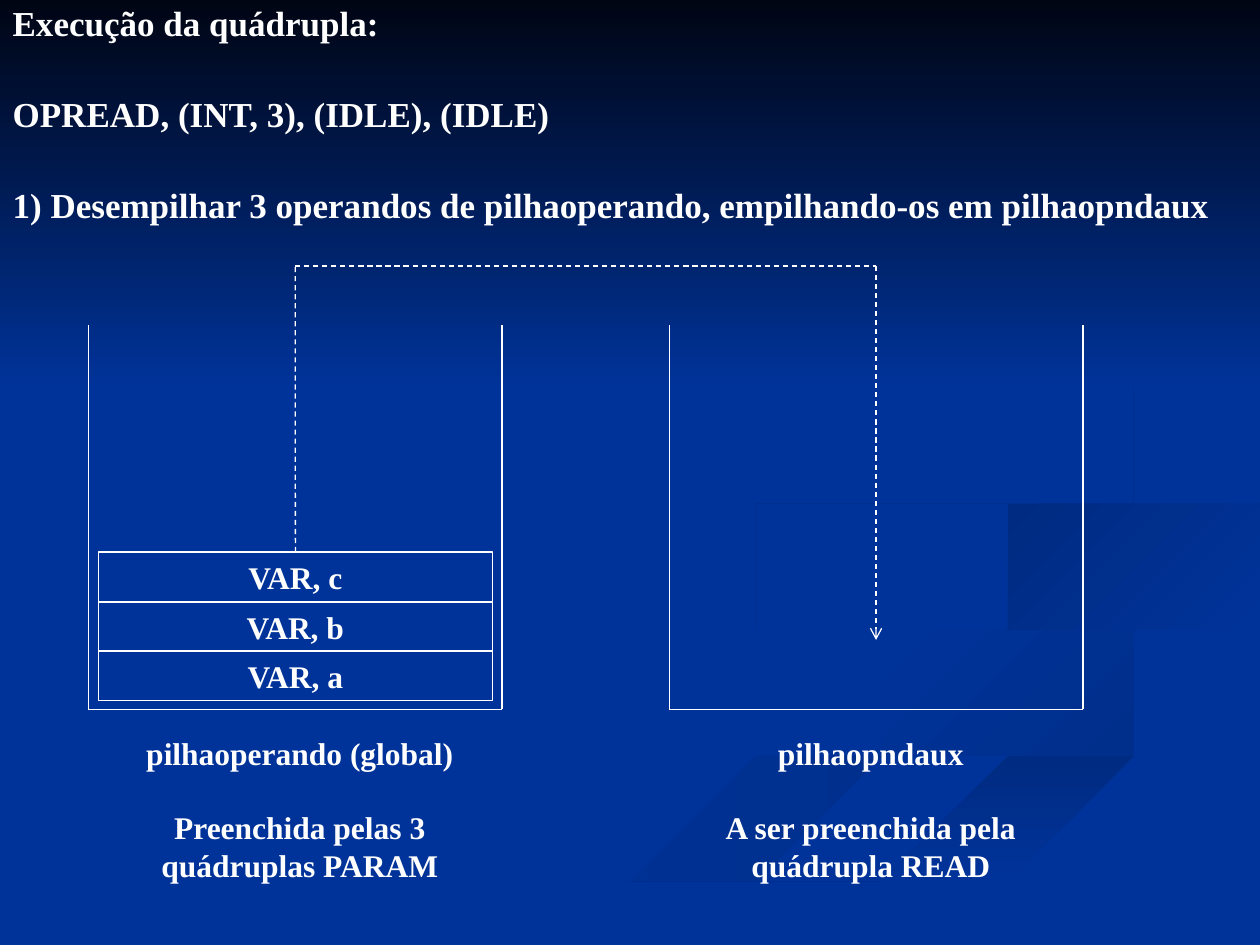
from lxml.etree import SubElement
from pptx import Presentation
from pptx.dml.color import RGBColor
from pptx.enum.dml import MSO_LINE
from pptx.enum.shapes import MSO_CONNECTOR, MSO_SHAPE
from pptx.enum.text import MSO_ANCHOR, MSO_AUTO_SIZE, PP_ALIGN
from pptx.oxml.ns import qn
from pptx.util import Cm, Pt

WHITE = RGBColor(0xFF, 0xFF, 0xFF)
BLUE = RGBColor(0x00, 0x33, 0x99)
NIGHT = RGBColor(0x00, 0x05, 0x14)
SHADE = RGBColor(0x00, 0x2B, 0x82)
SOFT_SHADE = RGBColor(0x00, 0x2E, 0x8B)
FONT = "Times New Roman"
UNIT = Cm(2.54)
STEPS = 6

RIBBONS = [
    ((BLUE, SOFT_SHADE), 0, [
        [(5.75, 4.6), (5.8, 4.83), (6.8, 5.19), (7.76, 5.53), (7.8, 5.79), (6.5, 6.2), (4.6, 6.74), (3, 7.49)],
        [(3.6, 7.49), (5, 6.87), (7.4, 6.18), (8, 5.81), (7.67, 5.47), (6.4, 5.07), (5.75, 4.6)]]),
    ((BLUE, SOFT_SHADE), 45, [
        [(7.24, 4.64), (7.55, 5.05), (8.54, 5.39), (9.18, 5.81), (8.94, 6.05)],
        [(8.94, 6.05), (9.43, 5.73), (9.05, 5.4), (8.1, 5.15), (7.24, 4.64)]]),
    ((SHADE, BLUE), 90, [
        [(5.03, 7.49), (6.3, 6.93), (7.97, 6.38), (9.98, 5.81)],
        [(9.98, 6.09), (7.85, 6.61), (6.3, 7.19), (5.7, 7.49)]]),
    ((SHADE, BLUE), 45, [
        [(7.81, 4.6), (7.91, 4.78), (8.26, 4.96)],
        [(8.05, 4.74), (8.43, 4.48), (9.98, 4.2)],
        [(9.98, 4.02), (8.65, 4.24), (7.81, 4.6)]]),
    ((SHADE, BLUE), 45, [
        [(7.62, 2.33), (8.46, 2.79), (8.89, 3.35), (8.42, 3.78), (6.5, 4.2), (5.77, 4.62), (6.22, 5)],
        [(6.22, 5), (5.93, 4.7), (6.5, 4.36), (8.07, 4.07), (8.94, 3.44), (8.43, 2.75), (7.62, 2.33)]]),
]


def smooth(edge):
    """Return points on a Catmull-Rom curve through the given edge."""
    knots = [edge[0], *edge, edge[-1]]
    points = []
    for a, b, c, d in zip(knots, knots[1:], knots[2:], knots[3:]):
        for t in (i / STEPS for i in range(STEPS)):
            points.append(tuple(
                q + t * (r - p + t * (2 * p - 5 * q + 4 * r - s + t * (3 * (q - r) + s - p))) / 2
                for p, q, r, s in zip(a, b, c, d)))
    return points + [edge[-1]]


def shade(sp, colors, angle):
    """Give a borderless shape a two-colour gradient."""
    sp.shadow.inherit = False
    sp.line.fill.background()
    sp.fill.gradient()
    sp.fill.gradient_angle = (360 - angle) % 360
    for stop, color in zip(sp.fill.gradient_stops, colors):
        stop.color.rgb = color


def add_ribbon(s, colors, angle, edges):
    """Draw one backdrop ribbon bounded by smooth edges."""
    points = [point for edge in edges for point in smooth(edge)]
    builder = s.shapes.build_freeform(*points[0], scale=UNIT)
    builder.add_line_segments(points[1:])
    shade(builder.convert_to_shape(), colors, angle)


def add_backdrop(s):
    """Colour the background, its ribbons and the dark band at the top."""
    s.background.fill.solid()
    s.background.fill.fore_color.rgb = BLUE
    for ribbon in RIBBONS:
        add_ribbon(s, *ribbon)
    band = s.shapes.add_shape(MSO_SHAPE.RECTANGLE, Cm(0), Cm(0), Cm(25.4), Cm(7.82))
    shade(band, (NIGHT, BLUE), 90)


def write(tf, lines, size=18, align=PP_ALIGN.CENTER, gap=20.7, spacing=None):
    """Fill a text frame with bold white paragraphs set apart by a gap."""
    tf.word_wrap = True
    tf.auto_size = MSO_AUTO_SIZE.NONE
    for i, line in enumerate(lines):
        p = tf.paragraphs[0] if i == 0 else tf.add_paragraph()
        p.alignment = align
        p.space_before = Pt(gap if i else 0)
        p.line_spacing = spacing
        r = p.add_run()
        r.text = line
        r.font.name, r.font.size, r.font.bold = FONT, Pt(size), True
        r.font.color.rgb = WHITE


def add_statement(s, lines):
    """Spread the body placeholder over the slide and write the steps in it."""
    sp = s.placeholders[1]
    sp.left, sp.top, sp.width, sp.height = Cm(0), Cm(0), Cm(25.4), Cm(19.05)
    s.shapes._spTree.append(sp._element)
    write(sp.text_frame, lines, size=20, align=PP_ALIGN.LEFT, gap=31, spacing=Pt(21))
    for p in sp.text_frame.paragraphs:
        pPr = p._p.get_or_add_pPr()
        pPr.set("marL", str(Cm(0.95)))
        pPr.set("indent", str(-Cm(0.95)))
        SubElement(pPr, qn("a:buNone"))


def add_line(s, start, end, dashed=False, arrow=False):
    """Draw a thin white line between two points given in centimetres."""
    c = s.shapes.add_connector(MSO_CONNECTOR.STRAIGHT, *map(Cm, start + end))
    c.line.color.rgb = WHITE
    c.line.width = Pt(0.75)
    if dashed:
        c.line.dash_style = MSO_LINE.DASH
    if arrow:
        SubElement(c.line._get_or_add_ln(), qn("a:tailEnd"), type="arrow")
    SubElement(c._element.spPr, qn("a:effectLst"))
    return c


def add_stack(s, left, label_left, lines):
    """Draw an open-topped stack with its caption below."""
    right, top, bottom = left + 8.34, 6.55, 14.3
    corners = [(left, top), (left, bottom), (right, bottom), (right, top)]
    for start, end in zip(corners, corners[1:]):
        add_line(s, start, end)
    sp = s.shapes.add_textbox(Cm(label_left), Cm(14.68), Cm(8.13), Cm(3.3))
    write(sp.text_frame, lines)


def add_operand(s, top, text):
    """Add one outlined operand cell."""
    sp = s.shapes.add_shape(MSO_SHAPE.RECTANGLE, Cm(1.98), Cm(top), Cm(7.95), Cm(1.02))
    sp.shadow.inherit = False
    sp.fill.background()
    sp.line.color.rgb = WHITE
    sp.line.width = Pt(0.75)
    sp.text_frame.vertical_anchor = MSO_ANCHOR.MIDDLE
    write(sp.text_frame, [text])
    return sp


def main():
    """Build the slide and save it."""
    prs = Presentation()
    prs.slide_width, prs.slide_height = Cm(25.4), Cm(19.05)
    s = prs.slides.add_slide(prs.slide_layouts[1])
    title = s.shapes.title._element
    title.getparent().remove(title)

    add_backdrop(s)
    add_statement(s, [
        "Execução da quádrupla:",
        "OPREAD, (INT, 3), (IDLE), (IDLE)",
        "1) Desempilhar 3 operandos de pilhaoperando, empilhando-os em pilhaopndaux"])
    add_stack(s, 1.78, 1.98, ["pilhaoperando (global)", "Preenchida pelas 3 quádruplas PARAM"])
    add_stack(s, 13.49, 13.49, ["pilhaopndaux", "A ser preenchida pela quádrupla READ"])

    for i, name in enumerate("abc"):
        top_cell = add_operand(s, 13.11 - 0.99 * i, f"VAR, {name}")
    start, end = (5.95, 5.36), (17.66, 5.36)
    rise = add_line(s, (5.95, 11.13), start, dashed=True)
    rise.begin_connect(top_cell, 0)
    add_line(s, start, end, dashed=True)
    add_line(s, end, (17.66, 12.9), dashed=True, arrow=True)
    prs.save("out.pptx")


if __name__ == "__main__":
    main()
